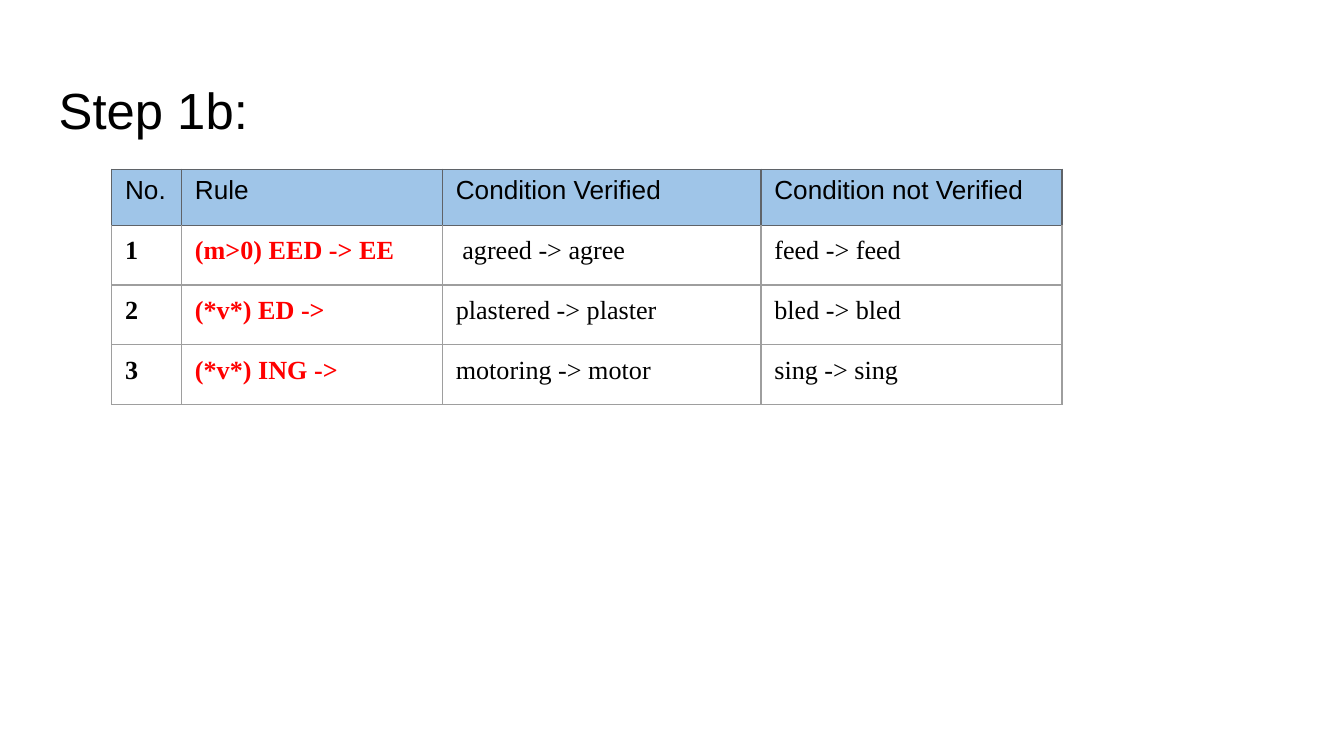
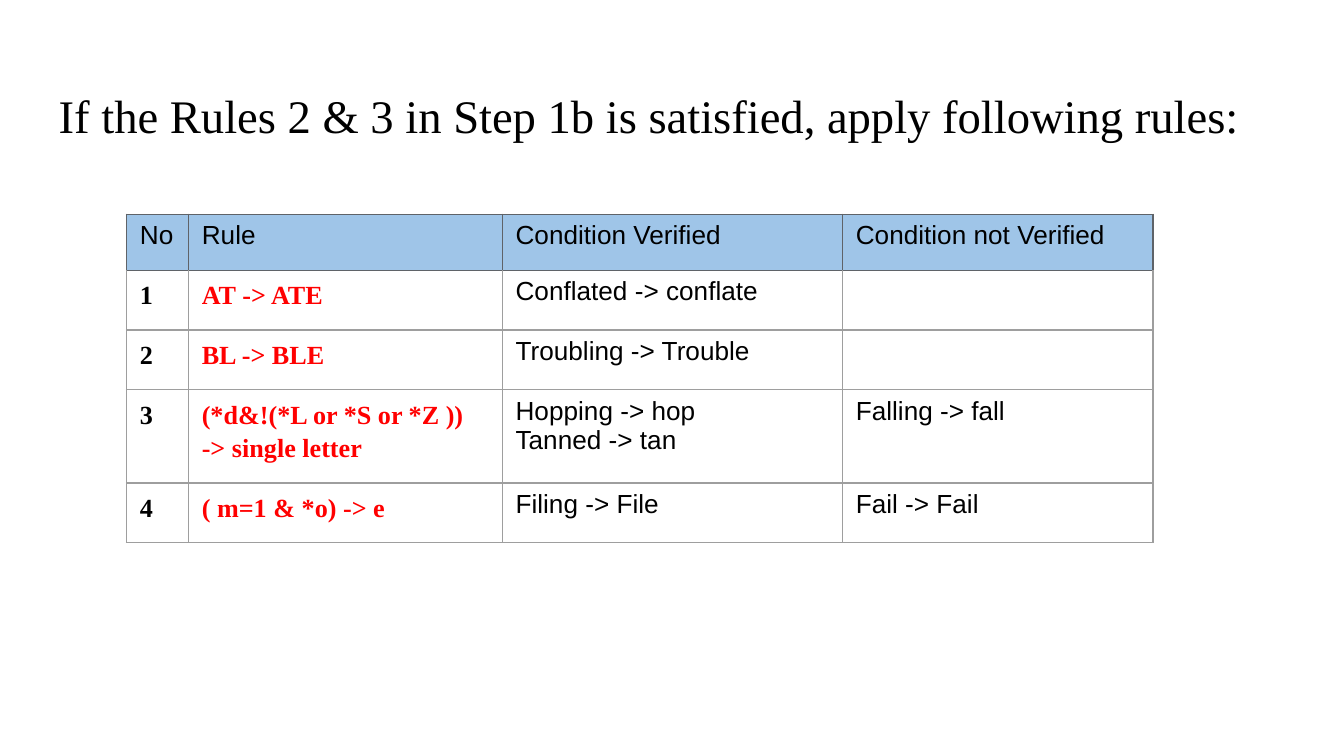
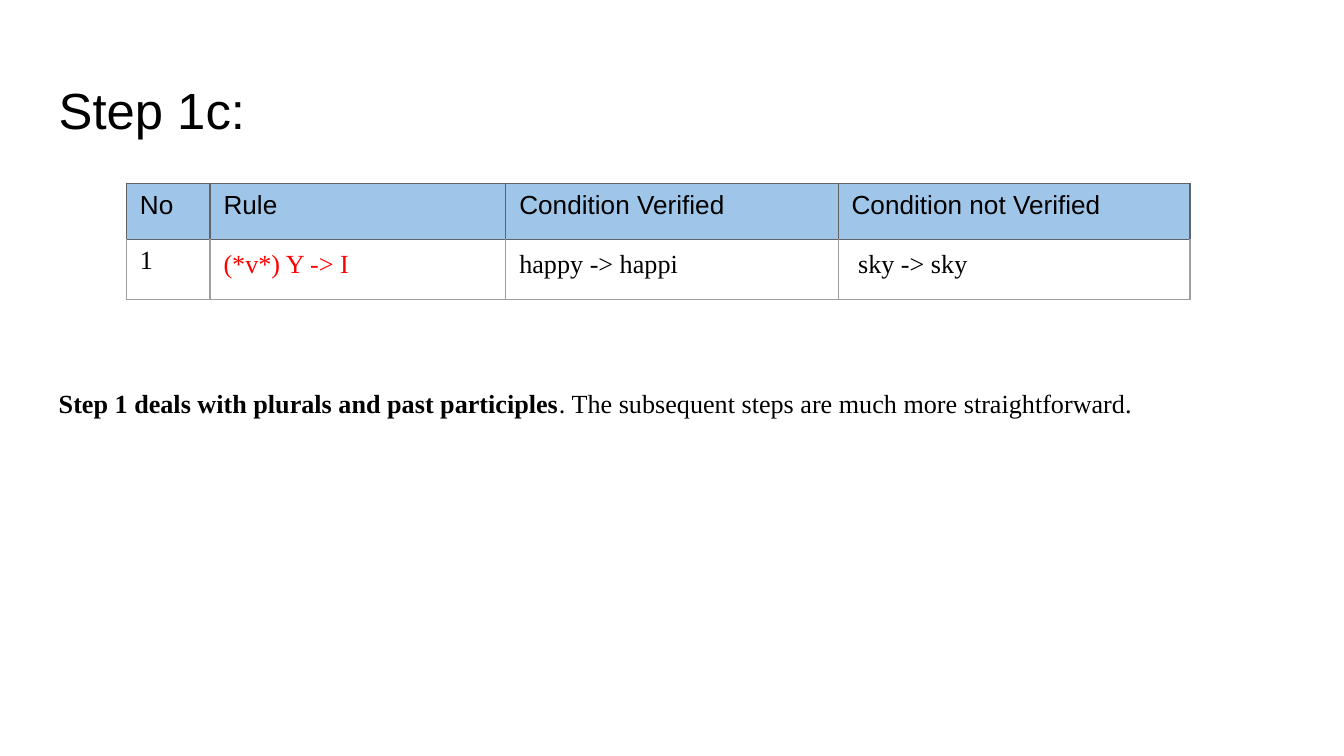
from lxml.etree import SubElement
from pptx import Presentation
from pptx.dml.color import RGBColor
from pptx.enum.text import MSO_ANCHOR, MSO_AUTO_SIZE, PP_ALIGN
from pptx.oxml.ns import qn
from pptx.util import Cm, Pt

COLORS = {"text": "000000", "rule": "FF0000", "header": "9FC5E8",
          "header_line": "5F6368", "line": "9E9E9E"}
SANS, SERIF = "Arial", "Times New Roman"
TABLE_SIZE = 14
LINE_WIDTH = Pt(0.75)
TITLE_ONLY, TITLE_AND_BODY = 5, 1

# Placeholder areas in cm: left, top, width, height
TITLE_AREA = (0.86, 1.24, 23.67, 1.6)
BODY_AREA = (0.86, 6.99, 23.67, 5.72)
HEADER_HEIGHT, ROW_HEIGHT, TALL_ROW_HEIGHT = 1.06, 1.13, 1.76

# Cell styles: font, colour, bold, line spacing
HEADER = (SANS, "text", False, None)
NUMBER = (SERIF, "text", True, 1.15)
PLAIN_NUMBER = (SERIF, "text", False, None)
RULE = (SERIF, "rule", True, 1.15)
PLAIN_RULE = (SERIF, "rule", False, 1.15)
SERIF_EXAMPLE = (SERIF, "text", False, 1.15)
SANS_EXAMPLE = (SANS, "text", False, None)

HEADINGS = ["Rule", "Condition Verified", "Condition not Verified"]

SLIDES = [
    {
        "title": "Step 1b:", "title_font": (SANS, 27.2), "title_spacing": (None, None),
        "corner": (2.11, 3.2), "columns": [1.32, 4.93, 6.02, 5.69],
        "styles": [NUMBER, RULE, SERIF_EXAMPLE, SERIF_EXAMPLE],
        "rows": [
            ["No.", *HEADINGS],
            ["1", "(m>0) EED -> EE", " agreed -> agree", "feed -> feed"],
            ["2", "(*v*) ED ->", "plastered -> plaster", "bled -> bled"],
            ["3", "(*v*) ING ->", "motoring -> motor", "sing -> sing"],
        ],
    },
    {
        "title": "If the Rules 2 & 3 in Step 1b is satisfied, apply following rules:",
        "title_font": (SERIF, 25), "title_spacing": (1.15, 1),
        "corner": (2.39, 4.05), "columns": [1.17, 5.93, 6.43, 5.87],
        "styles": [NUMBER, RULE, SANS_EXAMPLE, SANS_EXAMPLE],
        "rows": [
            ["No", *HEADINGS],
            ["1", "AT -> ATE", "Conflated -> conflate", ""],
            ["2", "BL -> BLE", "Troubling -> Trouble", ""],
            ["3", "(*d&!(*L or *S or *Z )) -> single letter",
             "Hopping -> hop\nTanned -> tan", "Falling -> fall"],
            ["4", "( m=1 & *o) -> e", "Filing -> File", "Fail -> Fail"],
        ],
    },
    {
        "title": "Step 1c:", "title_font": (SANS, 27.2), "title_spacing": (None, None),
        "corner": (2.39, 3.47), "columns": [1.58, 5.59, 6.28, 6.65],
        "styles": [PLAIN_NUMBER, PLAIN_RULE, SERIF_EXAMPLE, SERIF_EXAMPLE],
        "rows": [
            ["No", *HEADINGS],
            ["1", "(*v*) Y -> I", "happy -> happi", " sky -> sky"],
        ],
        "body": [("Step 1 deals with plurals and past participles", True),
                 (". The subsequent steps are much more straightforward.", False)],
    },
]


def style_font(font, name, size, color="text", bold=None):
    font.name, font.size, font.bold = name, Pt(size), bold
    font.color.rgb = RGBColor.from_string(COLORS[color])


def place_text(box, area):
    """Move a placeholder and return its first paragraph."""
    box.left, box.top, box.width, box.height = map(Cm, area)
    frame = box.text_frame
    frame.word_wrap = True
    frame.auto_size = MSO_AUTO_SIZE.NONE
    frame.vertical_anchor = MSO_ANCHOR.TOP
    frame.margin_left = frame.margin_right = Cm(0.25)
    frame.margin_top = frame.margin_bottom = Cm(0.25)
    para = frame.paragraphs[0]
    para.alignment = PP_ALIGN.LEFT
    return para


def add_title(page, content):
    page.shapes.title.text_frame.text = content["title"]
    para = place_text(page.shapes.title, TITLE_AREA)
    style_font(para.font, *content["title_font"])
    line_spacing, before = content["title_spacing"]
    if line_spacing:
        para.line_spacing, para.space_before = line_spacing, Pt(before)


def add_body(page, spans):
    para = place_text(page.placeholders[1], BODY_AREA)
    para.line_spacing, para.space_before = 1.15, Pt(12)
    style_font(para.font, SERIF, TABLE_SIZE)
    for text, bold in spans:
        span = para.add_run()
        span.text = text
        span.font.bold = bold
    # No bullet or indent
    properties = para._p.get_or_add_pPr()
    properties.set("marL", "0")
    properties.set("indent", "0")
    bullet = SubElement(properties, qn("a:buNone"))
    properties.find(qn("a:defRPr")).addprevious(bullet)


def set_borders(cell, row):
    properties = cell._tc.get_or_add_tcPr()
    for side in ("lnL", "lnR", "lnT", "lnB"):
        is_header_line = row == 0 or (row == 1 and side == "lnT")
        color = COLORS["header_line" if is_header_line else "line"]
        line = SubElement(properties, qn(f"a:{side}"), w=str(LINE_WIDTH))
        fill = SubElement(line, qn("a:solidFill"))
        SubElement(fill, qn("a:srgbClr"), val=color)


def fill_cell(cell, text, row, style):
    name, color, bold, line_spacing = style
    set_borders(cell, row)
    if row == 0:
        cell.fill.solid()
        cell.fill.fore_color.rgb = RGBColor.from_string(COLORS["header"])
    else:
        cell.fill.background()
    cell.text = text
    for para in cell.text_frame.paragraphs:
        style_font(para.font, name, TABLE_SIZE, color, bold)
        if line_spacing:
            para.line_spacing = line_spacing


def row_height(row):
    if row == 0:
        return HEADER_HEIGHT
    return ROW_HEIGHT


def add_rules(page, content):
    rows, columns = content["rows"], content["columns"]
    heights = [TALL_ROW_HEIGHT if any("\n" in text for text in texts) else row_height(row)
               for row, texts in enumerate(rows)]
    left, top = content["corner"]
    table = page.shapes.add_table(len(rows), len(columns), Cm(left), Cm(top),
                                  Cm(sum(columns)), Cm(sum(heights))).table
    table.first_row = table.horz_banding = False
    for column, width in zip(table.columns, columns):
        column.width = Cm(width)
    for row, texts in enumerate(rows):
        table.rows[row].height = Cm(heights[row])
        for column, text in enumerate(texts):
            style = content["styles"][column] if row else HEADER
            fill_cell(table.cell(row, column), text, row, style)


def main():
    deck = Presentation()
    deck.slide_width, deck.slide_height = Cm(25.4), Cm(14.29)
    for content in SLIDES:
        layout = TITLE_AND_BODY if "body" in content else TITLE_ONLY
        page = deck.slides.add_slide(deck.slide_layouts[layout])
        add_title(page, content)
        if "body" in content:
            add_body(page, content["body"])
        add_rules(page, content)
    deck.save("out.pptx")


if __name__ == "__main__":
    main()
